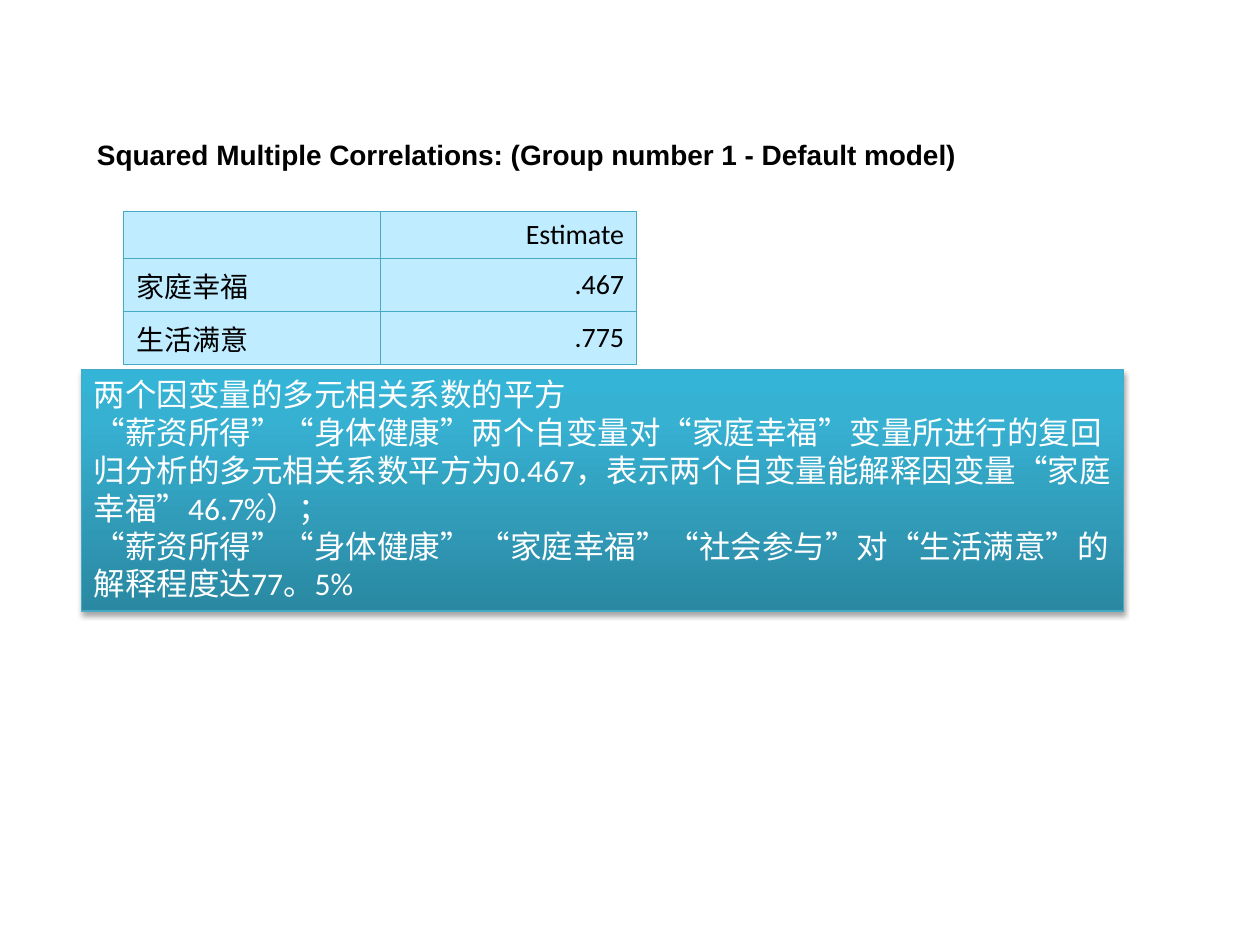
from dataclasses import dataclass

import pptx
import pptx.dml.color
import pptx.enum.shapes
import pptx.enum.text
import pptx.oxml
import pptx.oxml.ns
import pptx.util

Pt = pptx.util.Pt
ALIGN = pptx.enum.text.PP_ALIGN
ANCHOR = pptx.enum.text.MSO_ANCHOR
NS = pptx.oxml.ns.nsdecls("a")
BORDER = "46AAC5"
CELL_FILL = "BFECFF"


@dataclass
class Box:
    left: float
    top: float
    width: float
    height: float

    def lengths(self) -> tuple:
        return Pt(self.left), Pt(self.top), Pt(self.width), Pt(self.height)


@dataclass
class Row:
    label: str
    estimate: str
    height: float


ROWS = [
    Row("", "Estimate", 20),
    Row("家庭幸福", ".467", 26),
    Row("生活满意", ".775", 26),
]
NOTES = [
    "两个因变量的多元相关系数的平方",
    "“薪资所得”“身体健康”两个自变量对“家庭幸福”变量所进行的复回归分析的多元相关系数平方为0.467，"
    "表示两个自变量能解释因变量“家庭幸福”46.7%）；",
    "“薪资所得”“身体健康” “家庭幸福”“社会参与”对“生活满意”的解释程度达77。5%",
]


def rgb(value: str) -> pptx.dml.color.RGBColor:
    return pptx.dml.color.RGBColor.from_string(value)


def style(p, size: float, name: str, color: str, align=ALIGN.LEFT, bold=False) -> None:
    p.alignment = align
    p.font.size = Pt(size)
    p.font.name = name
    p.font.bold = bold
    p.font.color.rgb = rgb(color)


def add_title(slide, box: Box, text: str) -> None:
    title = slide.shapes.title
    title.left, title.top, title.width, title.height = box.lengths()
    tf = title.text_frame
    tf.text = text
    tf.word_wrap = False
    tf.auto_size = pptx.enum.text.MSO_AUTO_SIZE.NONE
    tf.vertical_anchor = ANCHOR.TOP
    style(tf.paragraphs[0], 16, "Arial", "000000", bold=True)


def fill_cell(cell, text: str, align) -> None:
    cell.text = text
    cell.vertical_anchor = ANCHOR.MIDDLE
    style(cell.text_frame.paragraphs[0], 16, "Calibri", "000000", align)
    tc_pr = cell._tc.get_or_add_tcPr()
    for side in "LRTB":
        tc_pr.append(pptx.oxml.parse_xml(
            f'<a:ln{side} {NS} w="{Pt(0.75)}"><a:solidFill>'
            f'<a:srgbClr val="{BORDER}"/></a:solidFill></a:ln{side}>'))
    cell.fill.solid()
    cell.fill.fore_color.rgb = rgb(CELL_FILL)


def add_estimates(slide, box: Box, rows: list[Row]) -> None:
    table = slide.shapes.add_table(len(rows), 2, *box.lengths()).table
    table.first_row = table.horz_banding = False
    for i, row in enumerate(rows):
        table.rows[i].height = Pt(row.height)
        fill_cell(table.cell(i, 0), row.label, ALIGN.LEFT)
        fill_cell(table.cell(i, 1), row.estimate, ALIGN.RIGHT)


def add_notes(slide, box: Box, notes: list[str]) -> None:
    sp = slide.shapes.add_shape(pptx.enum.shapes.MSO_SHAPE.RECTANGLE, *box.lengths())
    sp.line.color.rgb = rgb(BORDER)
    sp.line.width = Pt(0.75)

    # Three-stop gradient, darkest at the bottom, and a soft shadow
    stops = "".join(
        f'<a:gs pos="{pos * 1000}"><a:srgbClr val="{color}"/></a:gs>'
        for pos, color in [(0, "2A88A2"), (80, "37B1D2"), (100, "34B4D6")])
    sp_pr = sp._element.spPr
    sp_pr.insert(2, pptx.oxml.parse_xml(
        f'<a:gradFill {NS} rotWithShape="1"><a:gsLst>{stops}</a:gsLst>'
        f'<a:lin ang="{270 * 60000}" scaled="0"/></a:gradFill>'))
    sp_pr.append(pptx.oxml.parse_xml(
        f'<a:effectLst {NS}><a:outerShdw blurRad="{Pt(3.1)}" dist="{Pt(1.8)}" '
        f'dir="{90 * 60000}" rotWithShape="0"><a:srgbClr val="000000">'
        '<a:alpha val="35000"/></a:srgbClr></a:outerShdw></a:effectLst>'))

    tf = sp.text_frame
    tf.word_wrap = True
    tf.vertical_anchor = ANCHOR.TOP
    tf.text = "\n".join(notes)
    for p in tf.paragraphs:
        style(p, 18, "Calibri", "FFFFFF")


def main() -> None:
    prs = pptx.Presentation()
    prs.slide_width, prs.slide_height = Pt(720), Pt(540)
    slide = prs.slides.add_slide(prs.slide_layouts[5])
    add_title(slide, Box(48.2, 75, 512.6, 46),
              "Squared Multiple Correlations: (Group number 1 - Default model)")
    add_estimates(slide, Box(70.8, 121, 293, 72), ROWS)
    add_notes(slide, Box(46.5, 211, 595.5, 138.2), NOTES)
    prs.save("out.pptx")


if __name__ == "__main__":
    main()
